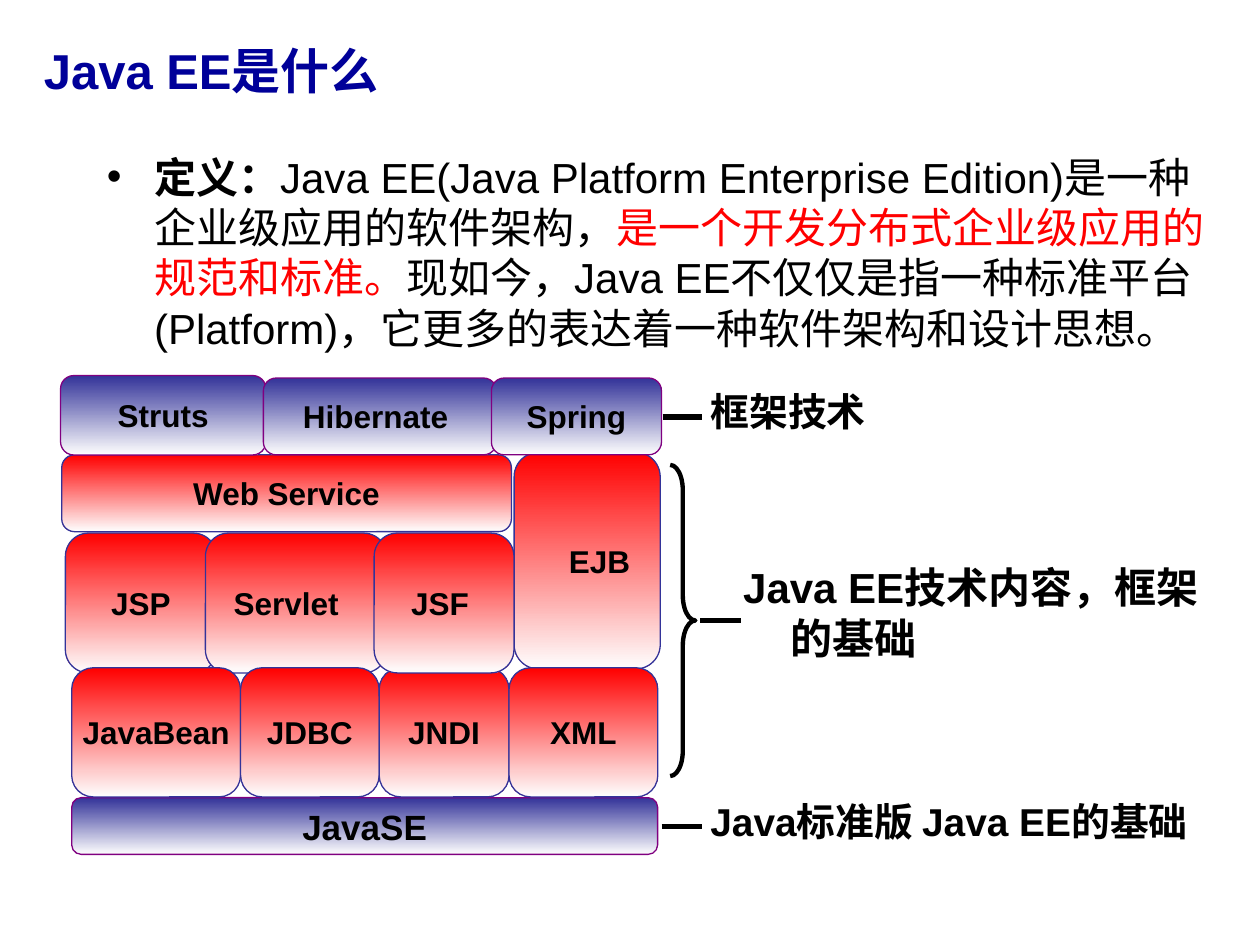
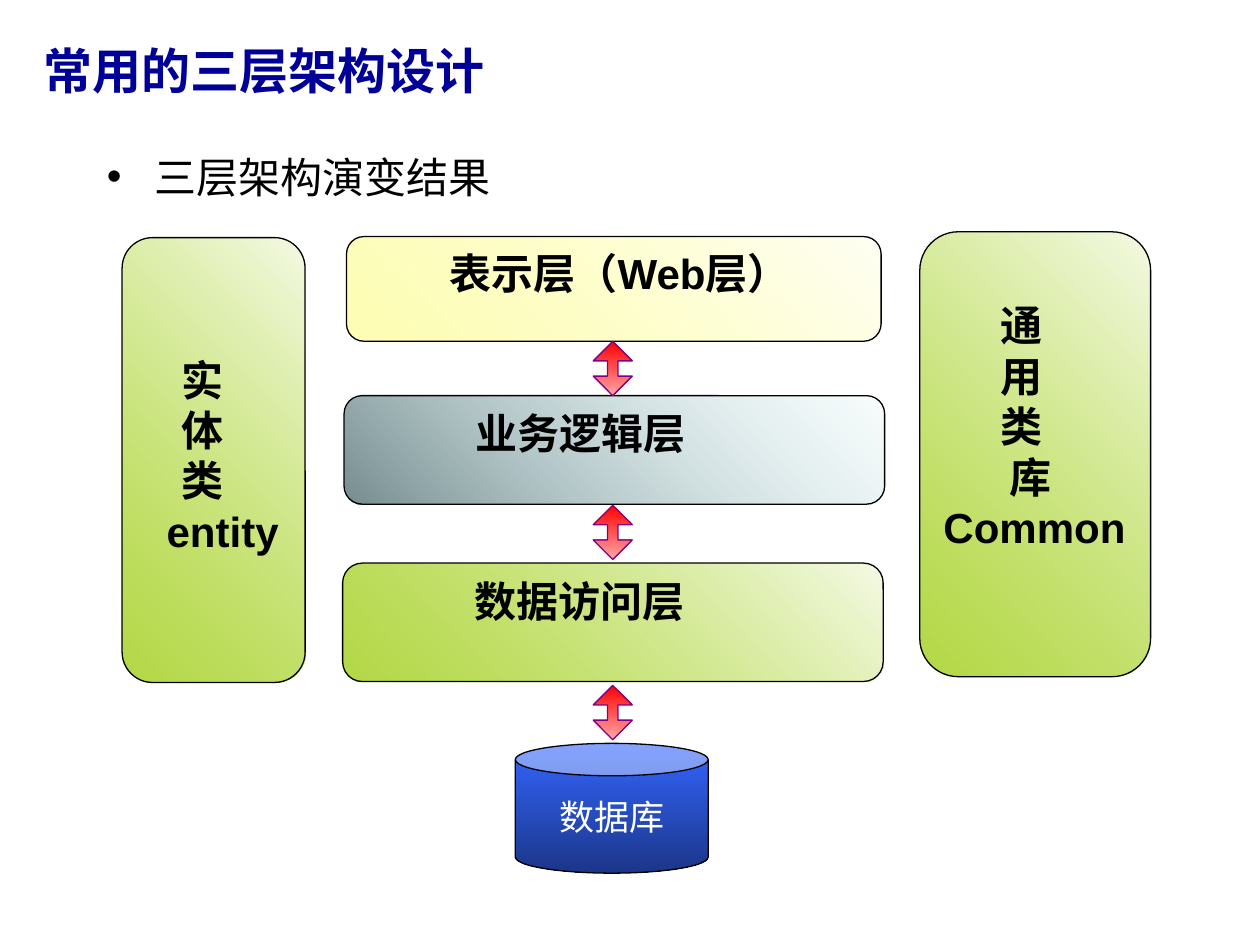
from collections import namedtuple

from lxml.etree import SubElement
from pptx import Presentation
from pptx.dml.color import RGBColor
from pptx.enum.shapes import MSO_CONNECTOR, MSO_SHAPE
from pptx.enum.text import MSO_ANCHOR, PP_ALIGN
from pptx.oxml.ns import qn
from pptx.util import Pt

NAVY = RGBColor(0x00, 0x00, 0x99)
BLACK = RGBColor(0x00, 0x00, 0x00)
WHITE = RGBColor(0xFF, 0xFF, 0xFF)
PEARL = RGBColor(0xFE, 0xFE, 0xFE)
RED = RGBColor(0xFF, 0x00, 0x00)
PINK = RGBColor(0xFE, 0xA5, 0xA5)
INDIGO = RGBColor(0x33, 0x33, 0x99)
PURPLE = RGBColor(0x80, 0x00, 0x80)
LEMON = RGBColor(0xFF, 0xFF, 0x99)
CREAM = RGBColor(0xFE, 0xFE, 0xB3)
AQUA = RGBColor(0xBB, 0xE0, 0xE3)
SLATE = RGBColor(0x76, 0x8D, 0x8F)
GREEN = RGBColor(0x99, 0xCC, 0x00)
LIME = RGBColor(0xB3, 0xD8, 0x44)
BLUE = RGBColor(0x33, 0x66, 0xFF)
DEEP = RGBColor(0x1B, 0x36, 0x89)

FONT = "Arial"
PAD = 7.2       # side inset of a text box
HANG = 27       # hanging indent
ROW = 28.9      # height of one 24 pt line

# Gradient from start to end; angle is counter-clockwise, alpha is that of start
Look = namedtuple("Look", "start end line angle alpha", defaults=(270, 100))
FRAME = Look(INDIGO, PEARL, PURPLE)
TECH = Look(RED, PEARL, INDIGO)
ARROW = Look(RED, PINK, PURPLE)
STORE = Look(BLUE, DEEP, BLACK)
VIEW = Look(LEMON, CREAM, BLACK, 225, 10)
LOGIC = Look(AQUA, SLATE, BLACK, 225, 10)
DATA = Look(GREEN, LIME, BLACK, 225, 10)


class Deck:
    def __init__(self):
        self.prs = Presentation()
        self.prs.slide_width, self.prs.slide_height = Pt(720), Pt(540)

    def page(self, title):
        self.slide = self.prs.slides.add_slide(self.prs.slide_layouts[6])
        frame = self.box(18, 15.8, 648, 48.2)
        frame.vertical_anchor = MSO_ANCHOR.MIDDLE
        frame.text = title
        self.style(frame.paragraphs[0], 28, NAVY)

    def box(self, *area):
        frame = self.slide.shapes.add_textbox(*map(Pt, area)).text_frame
        frame.word_wrap = True
        return frame

    def style(self, para, size, color=BLACK, bold=True):
        for run in para.runs:
            font = run.font
            font.name, font.size, font.bold = FONT, Pt(size), bold
            font.color.rgb = color

    def indent(self, para, left, first=0):
        props = para._p.get_or_add_pPr()
        props.set("marL", str(Pt(left)))
        props.set("indent", str(Pt(first)))
        return props

    def bullet(self, *parts):
        """Bulleted paragraph made of (text, colour, bold) parts."""
        para = self.box(54, 82.8, 648, 131).paragraphs[0]
        props = self.indent(para, HANG, -HANG)
        tint = SubElement(props, qn("a:buClr"))
        SubElement(tint, qn("a:srgbClr"), val=str(BLACK))
        SubElement(props, qn("a:buFont"), typeface=FONT)
        SubElement(props, qn("a:buChar"), char="•")
        for text, color, bold in parts:
            run = para.add_run()
            run.text = text
            font = run.font
            font.name, font.size, font.bold = FONT, Pt(24), bold
            font.color.rgb = color

    def label(self, text, size, *area):
        frame = self.box(*area)
        frame.text = text
        para = frame.paragraphs[0]
        self.indent(para, HANG, -HANG)
        self.style(para, size)

    def shape(self, kind, look, *area):
        item = self.slide.shapes.add_shape(kind, *map(Pt, area))
        item.shadow.inherit = False
        item.line.color.rgb, item.line.width = look.line, Pt(0.75)
        item.fill.gradient()
        item.fill.gradient_angle = look.angle
        stops = item.fill.gradient_stops
        for stop, color, spot in zip(stops, (look.start, look.end), (0, 1)):
            stop.color.rgb, stop.position = color, spot
        if look.alpha < 100:
            tint = item.fill._xPr.find(".//" + qn("a:srgbClr"))
            SubElement(tint, qn("a:alpha"), val=str(look.alpha * 1000))
        return item

    def block(self, text, look, *area, size=18, lead=None, tail=0, shift=0,
              kind=MSO_SHAPE.ROUNDED_RECTANGLE, color=BLACK, bold=True):
        """Middle-anchored text: centred, or left-aligned after a lead."""
        frame = self.shape(kind, look, *area).text_frame
        frame.word_wrap = True
        frame.vertical_anchor = MSO_ANCHOR.MIDDLE
        frame.margin_left, frame.margin_right = Pt(shift), Pt(tail)
        frame.text = text
        para = frame.paragraphs[0]
        para.alignment = PP_ALIGN.CENTER if lead is None else PP_ALIGN.LEFT
        if lead is not None:
            self.indent(para, PAD + lead)
        self.style(para, size, color, bold)
        return frame

    def stack(self, lines, look, *area, top=3.6):
        """Top-anchored lines, each a (text, lead) pair."""
        item = self.shape(MSO_SHAPE.ROUNDED_RECTANGLE, look, *area)
        frame = item.text_frame
        frame.word_wrap = True
        frame.vertical_anchor = MSO_ANCHOR.TOP
        frame.margin_top, frame.margin_right = Pt(top), Pt(0)
        frame.text = "\n".join(text for text, lead in lines)
        for para, (text, lead) in zip(frame.paragraphs, lines):
            para.alignment = PP_ALIGN.LEFT
            self.indent(para, lead)
            self.style(para, 24)

    def line(self, *ends):
        item = self.slide.shapes.add_connector(
            MSO_CONNECTOR.STRAIGHT, *map(Pt, ends))
        item.line.color.rgb, item.line.width = BLACK, Pt(3)
        SubElement(item._element.spPr, qn("a:effectLst"))

    def brace(self, *area):
        item = self.slide.shapes.add_shape(
            MSO_SHAPE.RIGHT_BRACE, *map(Pt, area))
        item.shadow.inherit = False
        item.fill.background()
        item.line.color.rgb, item.line.width = BLACK, Pt(2.5)
        item.adjustments[0] = 1


def platform(deck):
    deck.page("Java EE是什么")
    deck.bullet(
        ("定义：", BLACK, True),
        ("Java EE(Java Platform Enterprise Edition)是一种企业级应用的软件架构，",
         BLACK, False),
        ("是一个开发分布式企业级应用的规范和标准。", RED, False),
        ("现如今，Java EE不仅仅是指一种标准平台(Platform)，"
         "它更多的表达着一种软件架构和设计思想。", BLACK, False))

    # Base and technology blocks
    deck.block("JavaSE", FRAME, 41, 455.8, 334.8, 32.4, size=20)
    deck.block("JSP", TECH, 37.4, 304.6, 86.4, 79.9, lead=15)
    deck.block("Servlet", TECH, 117.4, 304.6, 103.7, 79.9, lead=5)
    deck.block("EJB", TECH, 293.8, 258.5, 83.5, 123.8, lead=20)
    left = 41
    for name, wide in (("JavaBean", 96.5), ("JDBC", 79.2),
                       ("JNDI", 74.2), ("XML", 85)):
        deck.block(name, TECH, left, 381.6, wide, 73.8)
        left += wide
    deck.block("JSF", TECH, 213.8, 304.6, 79.9, 79.9, lead=10)
    deck.block("Web Service", TECH, 35.3, 259.9, 257, 43.9)

    # Frameworks
    deck.block("Struts", FRAME, 34.6, 214.6, 117.4, 45.4)
    deck.block("Hibernate", FRAME, 150.5, 216, 133.2, 43.9, tail=5)
    deck.block("Spring", FRAME, 280.8, 216, 97.2, 43.9)

    # Labels with their lines
    deck.label("框架技术", 22.2, 398.9, 218.2, 138.2, 36)
    deck.line(378.7, 238.3, 401, 238.3)
    deck.brace(383, 265.7, 14.4, 177.8)
    deck.label("Java EE技术内容，框架的基础", 24, 417.6, 317.5, 286.6, 65.5)
    deck.line(400.3, 354.5, 423.4, 354.5)
    deck.label("Java标准版 Java EE的基础", 22.2, 398.9, 452.2, 321, 36)
    deck.line(378, 472.3, 401, 472.3)


def layers(deck):
    deck.page("常用的三层架构设计")
    deck.bullet(("三层架构演变结果", BLACK, False))

    # Three layers
    view = deck.block("表示层（Web层）", VIEW, 198, 135.2, 305.5, 59.8,
                      size=24, shift=6.7)
    view.vertical_anchor = MSO_ANCHOR.TOP
    deck.stack([("业务逻辑层", 65)], LOGIC, 196.6, 226.1, 308.9, 62)
    deck.stack([("数据访问层", 65)], DATA, 195.8, 321.8, 308.9, 67.7)

    # Database and arrows
    deck.block("数据库", STORE, 294.5, 424.8, 110.2, 74.2, size=20,
               kind=MSO_SHAPE.CAN, color=WHITE, bold=False)
    for top in (195.1, 288.7, 391.7):
        arrow = deck.shape(MSO_SHAPE.UP_DOWN_ARROW, ARROW,
                           339, top, 22.3, 31)
        arrow.adjustments[0], arrow.adjustments[1] = 0.5, 0.27

    # Side columns
    deck.stack([(sign, 21.6) for sign in "实体类"] + [("entity", 13.3)],
               DATA, 69.8, 135.8, 104.6, 254.2, top=3.6 + 2 * ROW)
    deck.stack([(sign, 32.4) for sign in "通用类"]
               + [("库", 38), ("Common", 0)],
               DATA, 525.6, 132.5, 131.9, 254.2, top=3.6 + ROW)


def main():
    deck = Deck()
    platform(deck)
    layers(deck)
    deck.prs.save("out.pptx")


if __name__ == "__main__":
    main()
